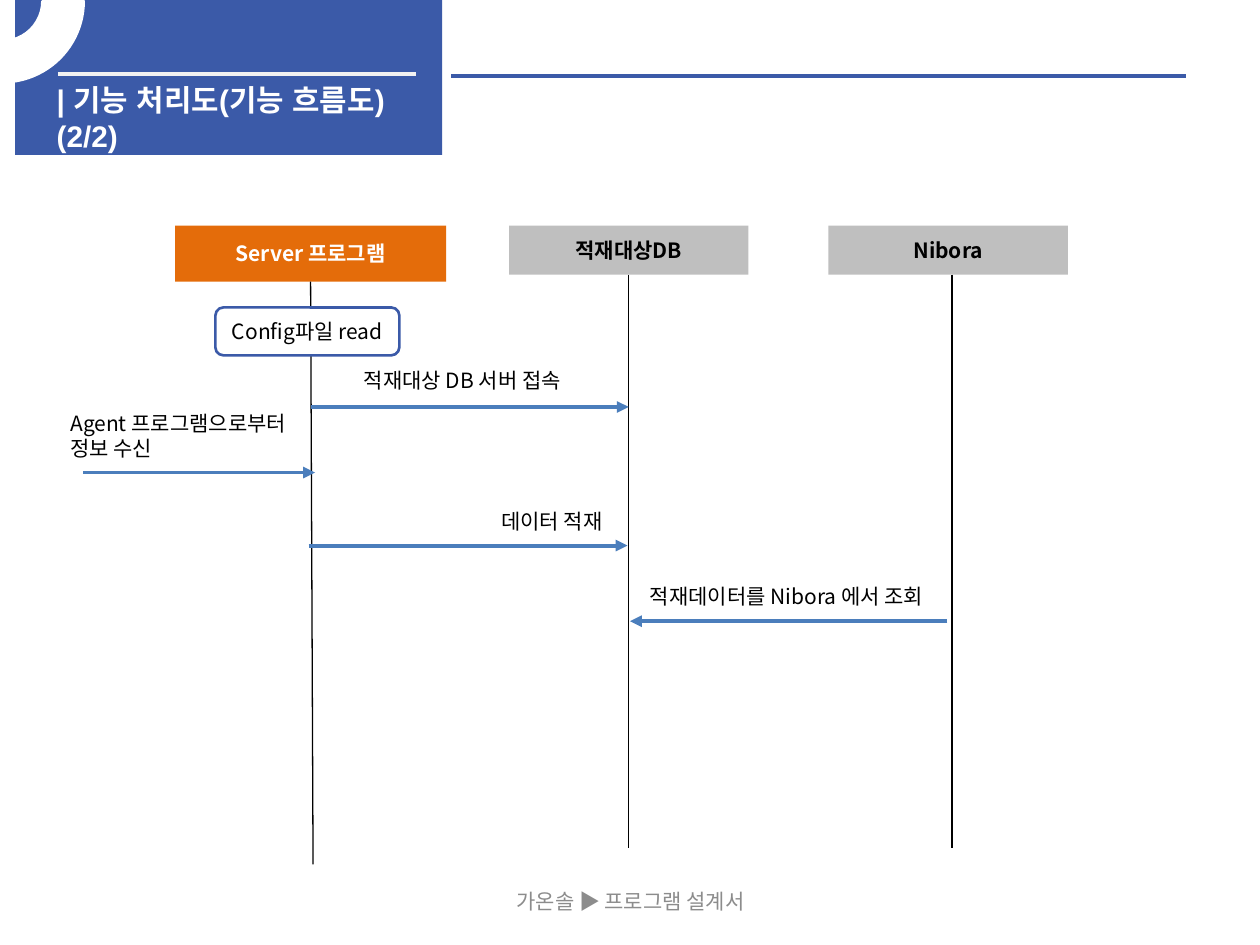
from dataclasses import dataclass
from typing import NamedTuple

from lxml import etree
from pptx import Presentation
from pptx.dml.color import RGBColor
from pptx.enum.shapes import MSO_CONNECTOR, MSO_SHAPE
from pptx.enum.text import MSO_ANCHOR, MSO_AUTO_SIZE, PP_ALIGN
from pptx.oxml.ns import qn
from pptx.util import Inches, Pt

RECT, ROUND, ARC = MSO_SHAPE.RECTANGLE, MSO_SHAPE.ROUNDED_RECTANGLE, MSO_SHAPE.BLOCK_ARC
LINE = MSO_CONNECTOR.STRAIGHT
LEFT, MID = PP_ALIGN.LEFT, PP_ALIGN.CENTER
TOP, HALF = MSO_ANCHOR.TOP, MSO_ANCHOR.MIDDLE
FIT, FIXED = MSO_AUTO_SIZE.SHAPE_TO_FIT_TEXT, MSO_AUTO_SIZE.NONE
BOTTOM = 2

# The slide is a grid of 100 columns and 75 rows
COLS, ROWS = 100, 75
WIDE, HIGH = Inches(10), Inches(7.5)


@dataclass(frozen=True)
class Theme:
    blue: str = "3B5AA8"
    arrow: str = "4B7EBC"
    orange: str = "E46C0A"
    gray: str = "BFBFBF"
    pale: str = "F2F2F2"
    muted: str = "8C8C8C"
    white: str = "FFFFFF"
    black: str = "000000"
    head: str = "Arial"
    body: str = "Noto Sans CJK KR"
    title: float = 17
    text: float = 12
    thin: float = 0.75
    edge: float = 1.5
    ring: float = 2
    bold: float = 2.25


class Area(NamedTuple):
    x: float
    y: float
    w: float
    h: float


class Actor(NamedTuple):
    name: str
    area: Area
    fill: str
    ink: str
    foot: tuple[float, float]
    joined: bool = True


class Call(NamedTuple):
    text: str
    area: Area
    start: float
    end: float
    row: float


T = Theme()
BOX_Y, BOX_W, BOX_H = 17.9, 19, 3.9
VIEWER = "Nibora"
ACTORS = [
    Actor("Server 프로그램", Area(13.9, BOX_Y, 21.5, 4.45), T.orange, T.white, (24.85, 68.6)),
    Actor("적재대상DB", Area(40.4, BOX_Y, BOX_W, BOX_H), T.gray, T.black, (49.9, 67.3)),
    # This lifeline stands slightly right of its box's middle
    Actor(VIEWER, Area(65.75, BOX_Y, BOX_W, BOX_H), T.gray, T.black, (75.55, 67.3), False),
]
CALLS = [
    Call("적재대상 DB 서버 접속", Area(27.9, 28.7, 19.5, 3), 24.7, 49.9, 32.3),
    Call("Agent 프로그램으로부터\n정보 수신", Area(4.6, 32.1, 20.7, 5), 6.6, 25, 37.5),
    Call("데이터 적재", Area(38.8, 39.9, 11, 3), 24.5, 49.8, 43.3),
    Call(f"적재데이터를 {VIEWER} 에서 조회", Area(50.6, 45.8, 25.8, 3), 75.2, 50, 49.3),
]


def col(n: float) -> int:
    return round(WIDE * n / COLS)


def row(n: float) -> int:
    return round(HIGH * n / ROWS)


def place(area: Area) -> tuple[int, int, int, int]:
    return col(area.x), row(area.y), col(area.w), row(area.h)


def rgb(hue: str) -> RGBColor:
    return RGBColor.from_string(hue)


def write(shape, text: str, ink: str, align=MID, anchor=HALF, bold: bool = False,
          size: float = T.text, face: str = T.body) -> None:
    frame = shape.text_frame
    frame.text = text
    frame.vertical_anchor = anchor
    for para in frame.paragraphs:
        para.alignment = align
        for run in para.runs:
            font = run.font
            font.name, font.size, font.bold = face, Pt(size), bold
            font.color.rgb = rgb(ink)
            # Korean letters take the East Asian typeface
            latin = font._element.find(qn("a:latin"))
            east = etree.Element(qn("a:ea"), typeface=face)
            latin.addnext(east)


def block(page, kind, area: Area, fill: str, edge: str = "", width: float = 0):
    shape = page.shapes.add_shape(kind, *place(area))
    shape.shadow.inherit = False
    shape.fill.solid()
    shape.fill.fore_color.rgb = rgb(fill)
    if edge:
        shape.line.color.rgb = rgb(edge)
        shape.line.width = Pt(width)
    else:
        shape.line.fill.background()
    return shape


def rule(page, x1: float, y1: float, x2: float, y2: float, hue: str, width: float,
         arrow: bool = False):
    line = page.shapes.add_connector(LINE, col(x1), row(y1), col(x2), row(y2))
    line.line.color.rgb = rgb(hue)
    line.line.width = Pt(width)
    if arrow:
        etree.SubElement(line.line._get_or_add_ln(), qn("a:tailEnd"), type="triangle")
    etree.SubElement(line._element.spPr, qn("a:effectLst"))
    return line


def label(page, text: str, area: Area) -> None:
    box = page.shapes.add_textbox(*place(area))
    write(box, text, T.black, LEFT, TOP)
    box.text_frame.word_wrap = False
    box.text_frame.auto_size = FIT


def header(page) -> None:
    title = page.shapes.title
    band = block(page, RECT, Area(1.2, 0, 33.9, 12.3), T.blue)
    title.element.addprevious(band.element)
    rule(page, 4.6, 5.9, 33, 5.9, T.pale, T.bold)
    rule(page, 35.8, 6, 94.1, 6, T.blue, T.bold)

    title.left, title.top, title.width, title.height = place(Area(3.5, 6, 30.7, 3.2))
    write(title, "| 기능 처리도(기능 흐름도)\n(2/2)", T.white, LEFT, TOP, True, T.title, T.head)
    title.text_frame.word_wrap = True
    title.text_frame.auto_size = FIXED

    # Quarter ring in the corner
    ring = block(page, ARC, Area(-6.3, -6.3, 12.9, 12.8), T.white, T.white, T.ring)
    for spot, value in enumerate((161.59, 0, 0.25)):
        ring.adjustments[spot] = value
    ring.element.spPr.find(qn("a:xfrm")).set("flipV", "1")


def footer(page) -> None:
    box = page.shapes.add_textbox(*place(Area(34.2, 69.5, 31.7, 4)))
    box.text_frame.word_wrap = True
    write(box, "가온솔 ▶ 프로그램 설계서", T.muted)


def actor(page, item: Actor) -> None:
    box = block(page, RECT, item.area, item.fill)
    write(box, item.name, item.ink, bold=True)
    x, y = item.foot
    life = rule(page, x, item.area.y + item.area.h, x, y, T.black, T.thin)
    if item.joined:
        life.begin_connect(box, BOTTOM)


def main() -> None:
    deck = Presentation()
    deck.slide_width, deck.slide_height = WIDE, HIGH
    page = deck.slides.add_slide(deck.slide_layouts[5])
    header(page)
    footer(page)

    # Sequence: actors with lifelines, then the calls between them
    for item in ACTORS:
        actor(page, item)
    step = block(page, ROUND, Area(17.1, 24.4, 14.6, 3.8), T.white, T.blue, T.edge)
    write(step, "Config파일 read", T.black)
    for call in CALLS:
        rule(page, call.start, call.row, call.end, call.row, T.arrow, T.bold, True)
        label(page, call.text, call.area)

    deck.save("out.pptx")


if __name__ == "__main__":
    main()
